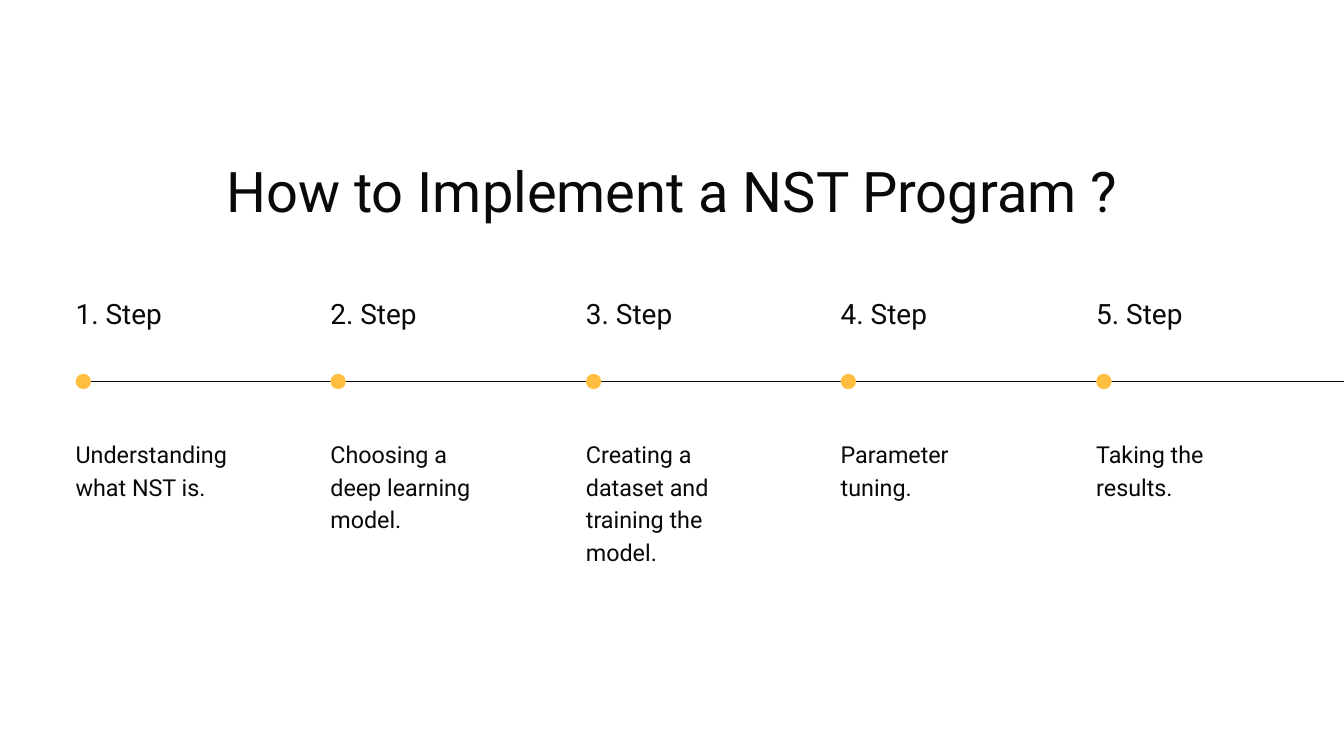
from dataclasses import dataclass

from lxml.etree import SubElement
from pptx import Presentation
from pptx.dml.color import RGBColor
from pptx.enum.shapes import MSO_CONNECTOR as Connector, MSO_SHAPE as Shape
from pptx.enum.text import MSO_ANCHOR as Anchor, MSO_AUTO_SIZE as AutoSize, PP_ALIGN as Align
from pptx.oxml.ns import qn
from pptx.util import Pt

PX = 9525  # EMU per px, 96 px to the inch
PAGE_WIDTH, PAGE_HEIGHT = 1920, 1080


@dataclass(frozen=True)
class Theme:
    font: str = "Roboto"
    ink: RGBColor = RGBColor(0x09, 0x09, 0x09)
    accent: RGBColor = RGBColor(0xFF, 0xBE, 0x40)
    paper: RGBColor = RGBColor(0xFF, 0xFF, 0xFF)
    # (type size, line spacing) in points
    title: tuple = (60, 72)
    heading: tuple = (30, 36)
    body: tuple = (25, 35)


THEME = Theme()
TITLE = "How to Implement a NST Program ?"
STEPS = [
    "Understanding what NST is.",
    "Choosing a deep learning model.",
    "Creating a dataset and training the model.",
    "Parameter tuning.",
    "Taking the results.",
]


def emu(*lengths):
    return [length * PX for length in lengths]


def set_all(target, values):
    for name, value in values.items():
        setattr(target, name, value)


def add_text(page, box, text, style, align=Align.LEFT):
    size, leading = style
    frame = page.shapes.add_textbox(*emu(*box)).text_frame
    set_all(frame, {
        "margin_left": 0, "margin_top": 0, "margin_right": 0, "margin_bottom": 0,
        "word_wrap": True, "auto_size": AutoSize.SHAPE_TO_FIT_TEXT,
        "vertical_anchor": Anchor.TOP,
    })
    para = frame.paragraphs[0]
    set_all(para, {"alignment": align, "line_spacing": Pt(leading)})
    span = para.add_run()
    span.text = text
    set_all(span.font, {"name": THEME.font, "size": Pt(size)})
    span.font.color.rgb = THEME.ink


def add_axis(page, left, right, y):
    axis = page.shapes.add_connector(Connector.STRAIGHT, *emu(left, y, right, y))
    axis.line.width = Pt(1.5)
    axis.line.color.rgb = THEME.ink
    SubElement(axis.element.spPr, qn("a:effectLst"))


def add_dot(page, left, top, size):
    dot = page.shapes.add_shape(Shape.OVAL, *emu(left, top, size, size))
    dot.shadow.inherit = False
    dot.fill.solid()
    dot.fill.fore_color.rgb = THEME.accent
    dot.line.fill.background()


def add_step(page, box, number, text):
    """Stack a numbered heading, a dot and a description."""
    left, top, width, height = box
    add_dot(page, left, top + 111, 22)
    add_text(page, (left, top, width, 50), f"{number}. Step", THEME.heading)
    add_text(page, (left, top + 199, width, height - 199), text, THEME.body)


def add_timeline(page, box, steps):
    """Spread the steps evenly across the box, on a line that runs off the page."""
    left, top, width, height = box
    step_width = 246
    travel = width - step_width
    add_axis(page, left + 11, PAGE_WIDTH, top + 122)
    for index, text in enumerate(steps):
        step_left = left + travel * index // (len(steps) - 1)
        add_step(page, (step_left, top, step_width, height), index + 1, text)


def main():
    deck = Presentation()
    deck.slide_width, deck.slide_height = emu(PAGE_WIDTH, PAGE_HEIGHT)
    page = deck.slides.add_slide(deck.slide_layouts[6])
    page.background.fill.solid()
    page.background.fill.fore_color.rgb = THEME.paper
    add_text(page, (141, 224, 1638, 98), TITLE, THEME.title, Align.CENTER)
    add_timeline(page, (108, 423, 1704, 380), STEPS)
    deck.save("out.pptx")


if __name__ == "__main__":
    main()
